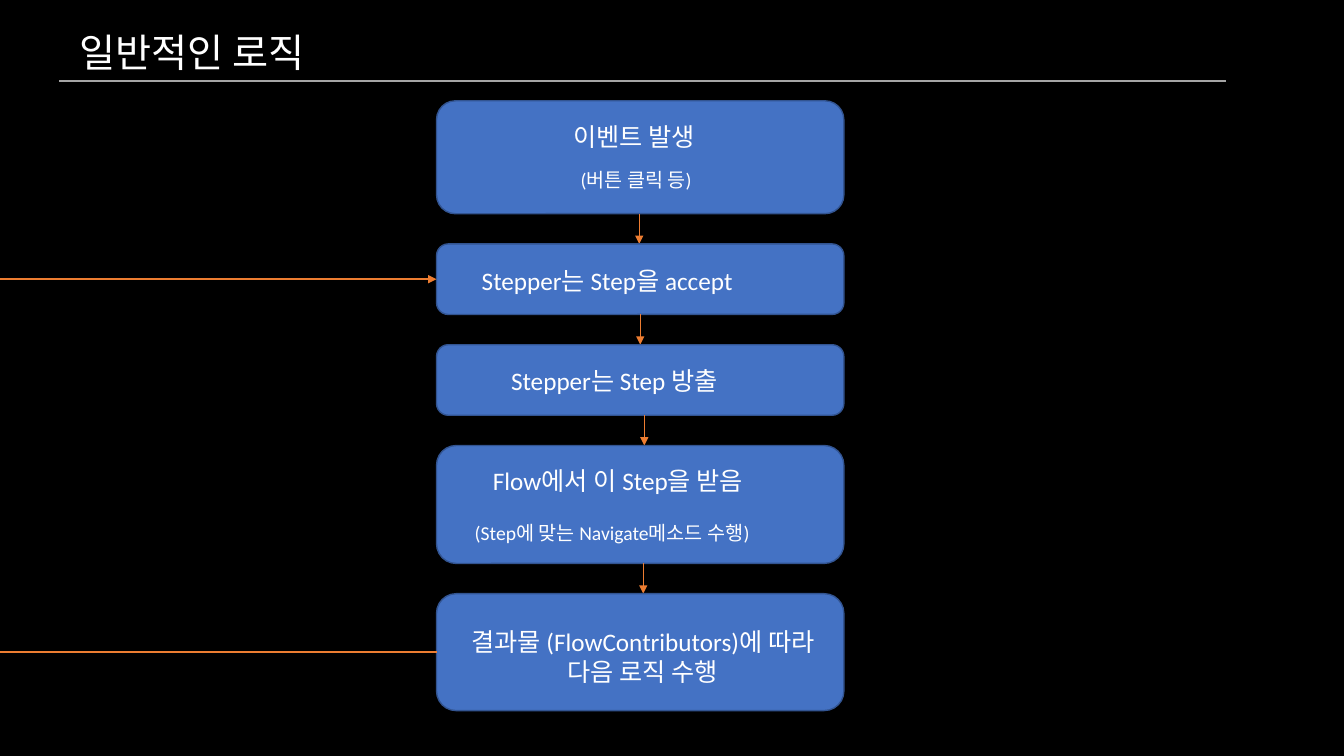
from dataclasses import dataclass

from lxml import etree
from pptx import Presentation
from pptx.dml.color import RGBColor
from pptx.enum.shapes import MSO_CONNECTOR, MSO_SHAPE
from pptx.enum.text import MSO_ANCHOR, MSO_AUTO_SIZE, PP_ALIGN
from pptx.oxml.ns import qn
from pptx.util import Inches, Pt

ROUNDED = MSO_SHAPE.ROUNDED_RECTANGLE
STRAIGHT = MSO_CONNECTOR.STRAIGHT
TOP = MSO_ANCHOR.TOP
GROW = MSO_AUTO_SIZE.SHAPE_TO_FIT_TEXT
LEFT, CENTER = PP_ALIGN.LEFT, PP_ALIGN.CENTER


@dataclass(frozen=True)
class Theme:
    """Colours, font and sizes of the slide."""
    background: str = "000000"
    text: str = "FFFFFF"
    box: str = "4472C4"
    border: str = "325491"
    arrow: str = "ED7D31"
    rule: str = "A5A5A5"
    font: str = "Calibri"
    title: int = 28
    body: int = 18
    note: int = 14
    thin: float = 1
    thick: float = 1.5


THEME = Theme()
COLUMNS, ROWS = 133.3, 75
CELL = 0.1
FLOW = (43.3, 10, 40.4)
GAP = 3

# Each step: height, arrow column, captions as (text, size, align, x, y, w, h).
STEPS = [
    (11.2, 20.1, [("이벤트 발생", THEME.body, LEFT, 12.6, 1.5, 15.3, 4),
                  ("(버튼 클릭 등)", THEME.note, LEFT, 13.3, 6.2, 13.3, 3.4)]),
    (7, 20.2, [("Stepper는 Step을 accept", THEME.body, LEFT, 3.5, 1.6, 33.6, 4)]),
    (7, 20.6, [("Stepper는 Step 방출", THEME.body, LEFT, 6.4, 1.6, 27.5, 4)]),
    (11.7, 20.5, [("Flow에서 이 Step을 받음", THEME.body, LEFT, 4.6, 1.5, 31.1, 4),
                  ("(Step에 맞는 Navigate메소드 수행)", THEME.note, LEFT, 2.8, 7, 34.8, 3.4)]),
    (11.6, None, [("결과물 (FlowContributors)에 따라 다음 로직 수행",
                   THEME.body, CENTER, 1.9, 2.7, 37.1, 7.1)]),
]
LOOP_START, LOOP_END = 4, 1


def cells(*values):
    """Turn grid cells into lengths."""
    return [Inches(value * CELL) for value in values]


def color(value):
    """Turn a hex string into a colour."""
    return RGBColor.from_string(value)


def write(sp, text, size, align=LEFT):
    """Put one formatted paragraph into a shape."""
    tf = sp.text_frame
    tf.text = text
    tf.word_wrap = True
    tf.auto_size = GROW
    tf.vertical_anchor = TOP
    p = tf.paragraphs[0]
    p.alignment = align
    font = p.runs[0].font
    font.name = THEME.font
    font.size = Pt(size)
    font.color.rgb = color(THEME.text)


def add_line(s, start, end, rgb, width, head=False):
    """Draw a straight line, with an arrowhead at its end on request."""
    line = s.shapes.add_connector(STRAIGHT, *cells(*start, *end))
    line.line.color.rgb = color(rgb)
    line.line.width = Pt(width)
    if head:
        etree.SubElement(line.line._get_or_add_ln(), qn("a:tailEnd"), type="triangle")
    etree.SubElement(line._element.spPr, qn("a:effectLst"))


def add_header(s, x, y, w, h):
    """Place the title above its rule."""
    title = s.shapes.title
    title.left, title.top, title.width, title.height = cells(x + 1, y, 26.3, h)
    write(title, "일반적인 로직", THEME.title)
    add_line(s, (x, y + h), (x + w, y + h), THEME.rule, THEME.thick)


def add_step(s, x, y, w, h, captions):
    """Draw one step box with its captions."""
    sp = s.shapes.add_shape(ROUNDED, *cells(x, y, w, h))
    sp.shadow.inherit = False
    sp.fill.solid()
    sp.fill.fore_color.rgb = color(THEME.box)
    sp.line.color.rgb = color(THEME.border)
    sp.line.width = Pt(THEME.thin)
    for text, size, align, dx, dy, width, height in captions:
        box = s.shapes.add_textbox(*cells(x + dx, y + dy, width, height))
        write(box, text, size, align)


def add_flow(s, x, y, w):
    """Stack the steps, join them and lead the loop to the slide's edge."""
    middles = []
    for height, arrow, captions in STEPS:
        add_step(s, x, y, w, height, captions)
        middles.append(y + height / 2)
        y += height
        if arrow is not None:
            add_line(s, (x + arrow, y), (x + arrow, y + GAP), THEME.arrow, THEME.thin, True)
        y += GAP
    add_line(s, (x, middles[LOOP_START]), (0, middles[LOOP_START]), THEME.arrow, THEME.thin)
    add_line(s, (0, middles[LOOP_END]), (x, middles[LOOP_END]), THEME.arrow, THEME.thin, True)


def main():
    """Build and save the slide."""
    prs = Presentation()
    prs.slide_width, prs.slide_height = cells(COLUMNS, ROWS)
    s = prs.slides.add_slide(prs.slide_layouts.get_by_name("Title Only"))
    s.background.fill.solid()
    s.background.fill.fore_color.rgb = color(THEME.background)
    add_header(s, 5.9, 2.3, 115.7, 5.7)
    add_flow(s, *FLOW)
    prs.save("out.pptx")


if __name__ == "__main__":
    main()
